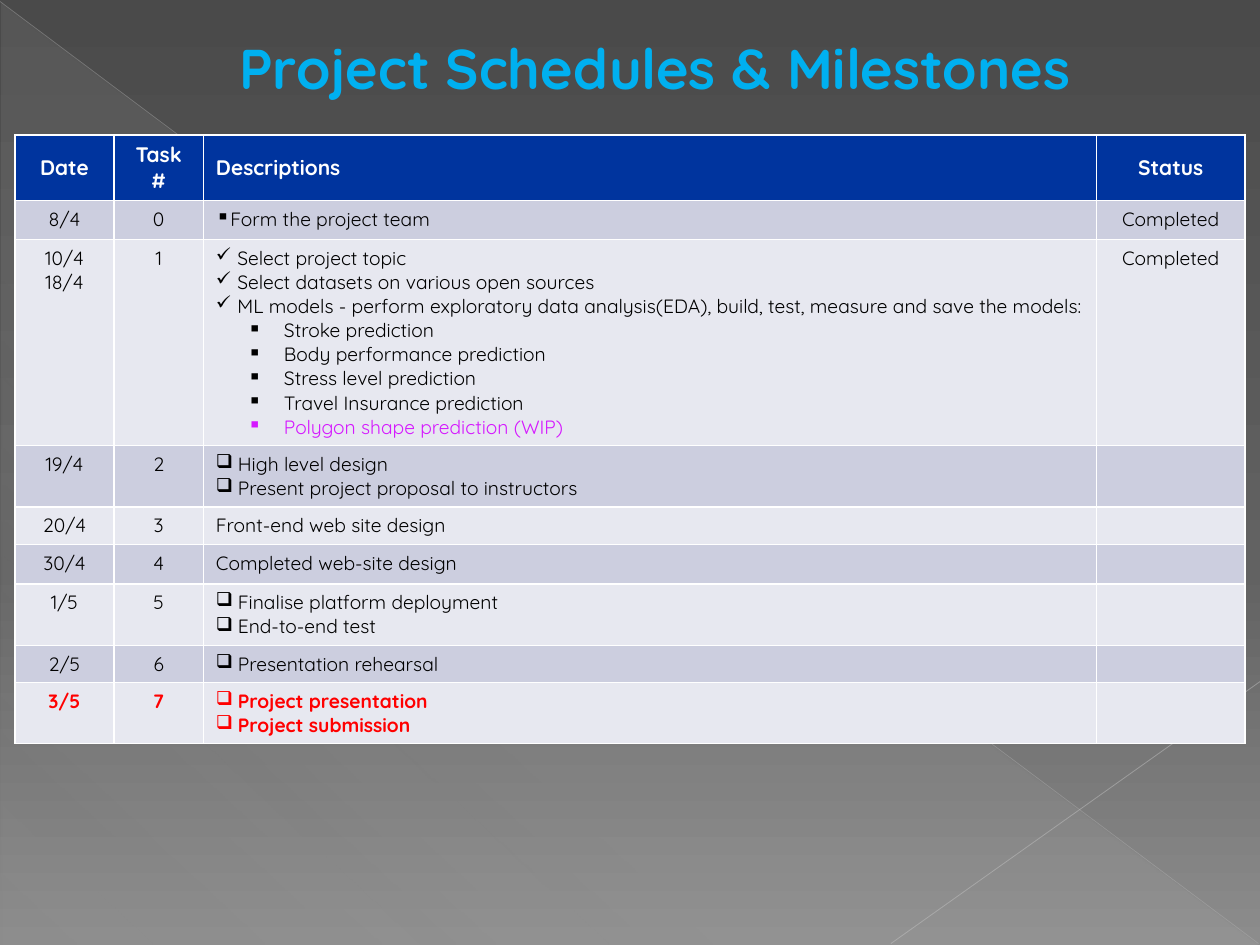
from lxml.etree import SubElement
from pptx import Presentation
from pptx.dml.color import RGBColor
from pptx.enum.shapes import MSO_CONNECTOR, MSO_SHAPE
from pptx.enum.text import MSO_ANCHOR, PP_ALIGN
from pptx.oxml.ns import qn
from pptx.util import Cm, Pt

FONT = "Quicksand"
WHITE = RGBColor(0xFF, 0xFF, 0xFF)
BLACK = RGBColor(0x00, 0x00, 0x00)
SKY = RGBColor(0x00, 0xB0, 0xF0)
NAVY = RGBColor(0x00, 0x34, 0x9E)
RED = RGBColor(0xFF, 0x00, 0x00)
MAGENTA = RGBColor(0xD5, 0x19, 0xFF)
BANDS = (RGBColor(0xCC, 0xCE, 0xDF), RGBColor(0xE7, 0xE8, 0xF0))
DARK_GREY = RGBColor(0x4A, 0x4A, 0x4A)
MID_GREY = RGBColor(0x62, 0x62, 0x62)
LIGHT_GREY = RGBColor(0x8C, 0x8C, 0x8C)
PALE_GREY = RGBColor(0xD2, 0xD2, 0xD2)
FALLING_GREY = RGBColor(0xBF, 0xBF, 0xBF)
RISING_GREY = RGBColor(0xC6, 0xC6, 0xC6)

# Hanging indent in cm for each bullet sign
HANGING = {"▪": 0.24, "✓": 0.43, "❑": 0.44}
SUB_MARGIN, SUB_HANGING = 1.37, 0.73

HEADINGS = ["Date", "Task #", "Descriptions", "Status"]
COLUMN_WIDTHS = [2.0, 1.8, 18.0, 3.0]
ROW_HEIGHTS = [1.32, 0.79, 4.15, 1.24, 0.76, 0.79, 1.24, 0.75, 1.22]

# Dates, task, bullet sign, description lines, status
TASKS = [
    (["8/4"], "0", "▪", ["Form the project team"], "Completed"),
    (["10/4", "18/4"], "1", "✓",
     ["Select project topic",
      "Select datasets on various open sources",
      "ML models - perform exploratory data analysis(EDA), build, test, "
      "measure and save the models:"], "Completed"),
    (["19/4"], "2", "❑",
     ["High level design", "Present project proposal to instructors"], ""),
    (["20/4"], "3", None, ["Front-end web site design"], ""),
    (["30/4"], "4", None, ["Completed web-site design"], ""),
    (["1/5"], "5", "❑", ["Finalise platform deployment", "End-to-end test"], ""),
    (["2/5"], "6", "❑", ["Presentation rehearsal"], ""),
    (["3/5"], "7", "❑", ["Project presentation", "Project submission"], ""),
]
MODELS = ["Stroke prediction", "Body performance prediction",
          "Stress level prediction", "Travel Insurance prediction",
          "Polygon shape prediction (WIP)"]
MODELS_ROW = 2


def set_alpha(color_element, percent):
    SubElement(color_element, qn("a:alpha"), val=str(percent * 1000))


def set_gradient(fill, stops, angle):
    """Fill with (position, colour, opacity) stops, angle clockwise."""
    fill.gradient()
    fill.gradient_angle = 360 - angle
    stop_list = fill.gradient_stops[0]._gs.getparent()
    for old_stop in list(stop_list):
        stop_list.remove(old_stop)
    for position, color, opacity in stops:
        stop = SubElement(stop_list, qn("a:gs"), pos=str(position * 1000))
        color_element = SubElement(stop, qn("a:srgbClr"), val=str(color))
        if opacity < 100:
            set_alpha(color_element, opacity)


def add_line(page, start, end, color, width, opacity):
    line = page.shapes.add_connector(
        MSO_CONNECTOR.STRAIGHT, *(Cm(value) for value in start + end))
    line.line.color.rgb = color
    line.line.width = Pt(width)
    set_alpha(line.line._ln.find(".//" + qn("a:srgbClr")), opacity)
    SubElement(line._element.spPr, qn("a:effectLst"))


def add_backdrop(page):
    set_gradient(page.background.fill,
                 [(0, DARK_GREY, 100), (60, MID_GREY, 100),
                  (100, LIGHT_GREY, 100)], 90)
    triangle = page.shapes.add_shape(
        MSO_SHAPE.RIGHT_TRIANGLE, Cm(0.03), Cm(0.05), Cm(25.35), Cm(19))
    triangle.shadow.inherit = False
    triangle.line.fill.background()
    set_gradient(triangle.fill,
                 [(0, PALE_GREY, 10), (70, PALE_GREY, 8),
                  (100, PALE_GREY, 1)], 133)
    add_line(page, (0, 0.03), (25.37, 19.02), FALLING_GREY, 0.39, 35)
    add_line(page, (25.4, 13.74), (17.96, 19.02), RISING_GREY, 0.47, 45)


def style_paragraph(para, size, color, bold=False, align=PP_ALIGN.LEFT):
    para.alignment = align
    para.font.name = FONT
    para.font.size = Pt(size)
    para.font.bold = bold
    para.font.color.rgb = color


def set_bullet(para, sign, margin, hanging):
    properties = para._p.get_or_add_pPr()
    properties.set("marL", str(Cm(margin)))
    properties.set("indent", str(-Cm(hanging)))
    SubElement(properties, qn("a:buChar"), char=sign)


def add_title(page, text):
    title = page.shapes.title
    title.left, title.top, title.width, title.height = (
        Cm(3.3), Cm(0.53), Cm(19.81), Cm(1.63))
    title.text_frame.text = text
    title.text_frame.vertical_anchor = MSO_ANCHOR.MIDDLE
    style_paragraph(title.text_frame.paragraphs[0], 32, SKY, True,
                    PP_ALIGN.CENTER)


def fill_cell(cell, lines, fill, size=11, color=BLACK, bold=False,
              align=PP_ALIGN.CENTER, sign=None):
    cell.fill.solid()
    cell.fill.fore_color.rgb = fill
    cell.text = "\n".join(lines)
    for para in cell.text_frame.paragraphs:
        if sign:
            set_bullet(para, sign, HANGING[sign], HANGING[sign])
        style_paragraph(para, size, color, bold, align)


def add_models(cell):
    for model in MODELS:
        para = cell.text_frame.add_paragraph()
        para.text = model
        para.level = 1
        set_bullet(para, "▪", SUB_MARGIN, SUB_HANGING)
        style_paragraph(para, 11, MAGENTA if model == MODELS[-1] else BLACK)


def add_schedule(page):
    table = page.shapes.add_table(
        len(ROW_HEIGHTS), len(COLUMN_WIDTHS), Cm(0.3), Cm(2.72),
        Cm(sum(COLUMN_WIDTHS)), Cm(sum(ROW_HEIGHTS))).table
    for column, width in zip(table.columns, COLUMN_WIDTHS):
        column.width = Cm(width)
    for row, height in zip(table.rows, ROW_HEIGHTS):
        row.height = Cm(height)

    # Header row
    for index, heading in enumerate(HEADINGS):
        cell = table.cell(0, index)
        align = PP_ALIGN.LEFT if heading == "Descriptions" else PP_ALIGN.CENTER
        fill_cell(cell, [heading], NAVY, 12, WHITE, True, align)
        cell.vertical_anchor = MSO_ANCHOR.MIDDLE

    # Task rows, the last one highlighted
    for number, (dates, task, sign, lines, status) in enumerate(TASKS, 1):
        last = number == len(TASKS)
        look = {"fill": BANDS[(number - 1) % 2], "bold": last,
                "color": RED if last else BLACK}
        fill_cell(table.cell(number, 0), dates, **look)
        fill_cell(table.cell(number, 1), [task], **look)
        fill_cell(table.cell(number, 2), lines, align=PP_ALIGN.LEFT,
                  sign=sign, **look)
        fill_cell(table.cell(number, 3), [status], **look)
    add_models(table.cell(MODELS_ROW, 2))


def main():
    deck = Presentation()
    deck.slide_width, deck.slide_height = Cm(25.4), Cm(19.05)
    page = deck.slides.add_slide(deck.slide_layouts[5])
    add_backdrop(page)
    add_schedule(page)
    add_title(page, "Project Schedules & Milestones")
    deck.save("out.pptx")


if __name__ == "__main__":
    main()
